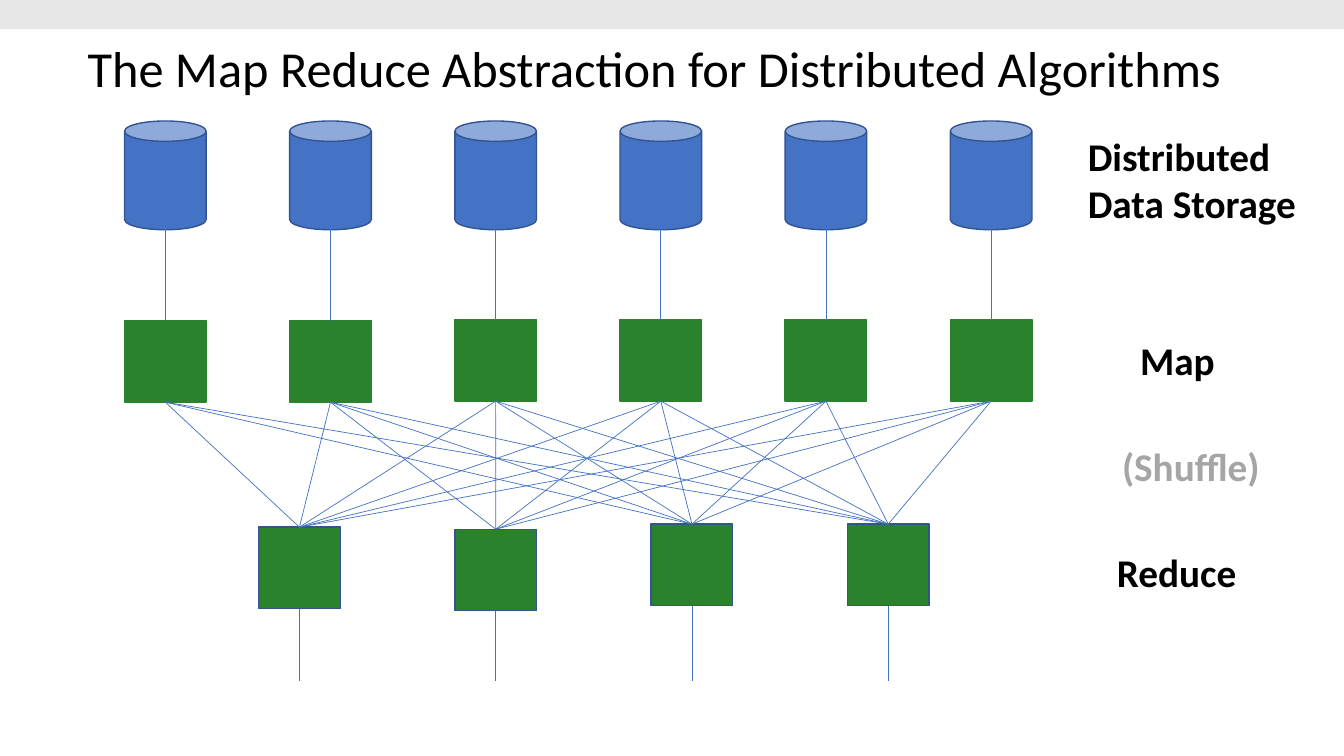
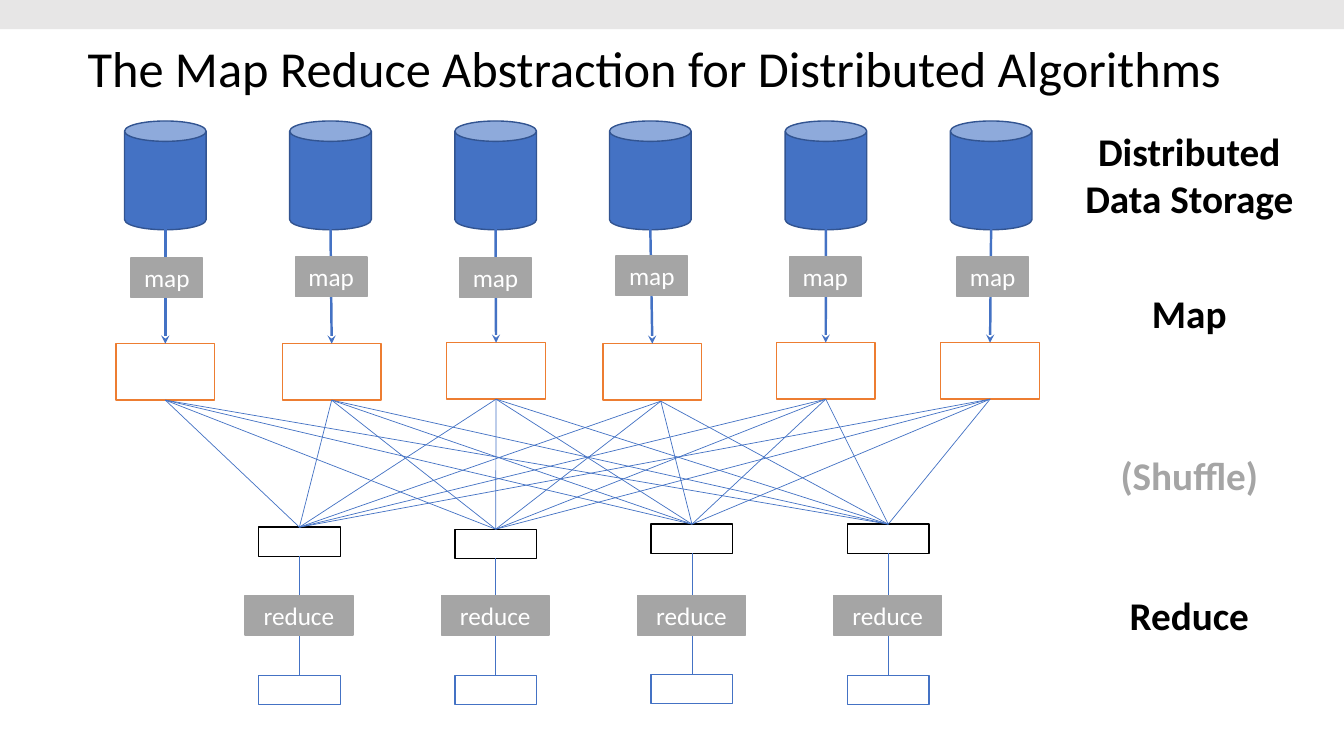
from lxml import etree
from pptx import Presentation
from pptx import util as u
from pptx.dml import color
from pptx.enum import shapes, text
from pptx.oxml import ns

FONT = "Calibri"
BLACK, WHITE, GREY, BAND = "000000", "FFFFFF", "A5A5A5", "E7E6E6"
BLUE, NAVY, GREEN, ORANGE = "4472C4", "325491", "2B822C", "ED7D31"
RECT, CAN = shapes.MSO_SHAPE.RECTANGLE, shapes.MSO_SHAPE.CAN
LEFT, CENTER = text.PP_ALIGN.LEFT, text.PP_ALIGN.CENTER
TITLE = "The Map Reduce Abstraction for Distributed Algorithms"


def box(s, kind, at, fill=None, line=None, label="", size=18, ink=WHITE,
        bold=False, align=CENTER):
    """Add a preset shape, or a text box when kind is None."""
    frame = [u.Inches(v) for v in at]
    if kind is None:
        sp = s.shapes.add_textbox(*frame)
    else:
        sp = s.shapes.add_shape(kind, *frame)
        sp.shadow.inherit = False
        sp.fill.solid()
        sp.fill.fore_color.rgb = color.RGBColor.from_string(fill)
        if line:
            sp.line.color.rgb = color.RGBColor.from_string(line)
            sp.line.width = u.Pt(1)
        else:
            sp.line.fill.background()
    if label:
        tf = sp.text_frame
        tf.word_wrap = True
        p = tf.paragraphs[0]
        p.alignment = align
        r = p.add_run()
        r.text = label
        r.font.name, r.font.size, r.font.bold = FONT, u.Pt(size), bold
        r.font.color.rgb = color.RGBColor.from_string(ink)
    return sp


def link(s, start, end, width=0.5, arrow=False):
    """Draw a line; each end is a point or a shape (bottom to top)."""
    a, b = [[u.Inches(v) for v in e] if isinstance(e, tuple) else (0, 0)
            for e in (start, end)]
    c = s.shapes.add_connector(shapes.MSO_CONNECTOR.STRAIGHT, *a, *b)
    if not isinstance(start, tuple):
        c.begin_connect(start, 2)
    if not isinstance(end, tuple):
        c.end_connect(end, 0)
    c.line.color.rgb = color.RGBColor.from_string(BLUE)
    c.line.width = u.Pt(width)
    if arrow:
        etree.SubElement(c.line._get_or_add_ln(), ns.qn("a:tailEnd"), type="stealth")
    etree.SubElement(c._element.spPr, ns.qn("a:effectLst"))


prs = Presentation()
prs.slide_width, prs.slide_height = u.Inches(13.33), u.Inches(7.5)

# Column centres and row tops
NODE = 0.81
map_x = [1.64 + (9.83 - 1.64) * i / 5 for i in range(6)]
reduce_x = [2.97 + (8.81 - 2.97) * j / 3 for j in range(4)]
reduce_y = [5.23, 5.25, 5.2, 5.2]
output_y = [6.7, 6.7, 6.69, 6.7]
map_y = [3.18, 3.18, 3.17, 3.17, 3.17, 3.17]

# Detailed slide: fourth can, map labels and map results
can_x = map_x[:3] + [6.45] + map_x[4:]
map_label_at = [(1.3, 2.56), (2.93, 2.55), (4.56, 2.56),
                (6.11, 2.54), (7.83, 2.55), (9.49, 2.55)]
result_at = [(1.15, 3.41), (2.8, 3.41), (4.43, 3.4),
             (5.98, 3.41), (7.7, 3.4), (9.33, 3.4)]

# Row names: text, colour, then place on the simple and the detailed slide
rows = [
    ("Distributed Data Storage", BLACK, (10.69, 1.26), (10.62, 1.21)),
    ("Map", BLACK, (11.21, 3.29), (10.62, 2.82)),
    ("(Shuffle)", GREY, (11.03, 4.34), (10.62, 4.43)),
    ("Reduce", BLACK, (10.98, 5.39), (10.62, 5.82)),
]

for detailed in (False, True):
    s = prs.slides.add_slide(prs.slide_layouts[6])

    # Title and band
    sp = box(s, None, (0.77, -0.02, 11.5, 1.45), label=TITLE, size=36,
             ink=BLACK, align=LEFT)
    sp.text_frame.vertical_anchor = text.MSO_ANCHOR.MIDDLE
    sp.text_frame.paragraphs[0].line_spacing = 0.9
    box(s, RECT, (0, 0, 13.33, 0.29), BAND)

    # Row names
    for name, ink, simple_at, detailed_at in rows:
        at = detailed_at if detailed else simple_at
        box(s, None, (*at, 2.35, 0.57), label=name, size=28, ink=ink,
            bold=True, align=CENTER if detailed else LEFT)

    # Storage, map step and the lines between them
    maps = []
    for i, x in enumerate(can_x if detailed else map_x):
        box(s, CAN, (x - NODE / 2, 1.2, NODE, 1.08), BLUE, NAVY)
        if detailed:
            sp = box(s, RECT, (*result_at[i], 0.98, 0.56), WHITE, ORANGE)
        else:
            sp = box(s, RECT, (x - NODE / 2, map_y[i], NODE, NODE), GREEN, GREEN)
        link(s, (x, 2.27), sp, 1.75 if detailed else 0.5, arrow=detailed)
        if detailed:
            box(s, RECT, (*map_label_at[i], 0.71, 0.39), GREY, GREY, "map")
        maps.append(sp)

    # Reduce step and its output
    reducers = []
    for x, y, out_y in zip(reduce_x, reduce_y, output_y):
        left = x - NODE / 2
        if detailed:
            sp = box(s, RECT, (left, y, NODE, 0.29), WHITE, BLACK)
            end = box(s, RECT, (left, out_y, NODE, 0.29), WHITE, BLUE)
        else:
            sp = box(s, RECT, (left, y, NODE, NODE), GREEN, NAVY)
            end = (x, 6.76)
        link(s, sp, end)
        if detailed:
            box(s, RECT, (x - 0.54, 5.91, 1.07, 0.39), GREY, GREY, "reduce")
        reducers.append(sp)

    # Shuffle: every map feeds every reducer, bar one pair on the simple slide
    for i, start in enumerate(maps):
        if detailed and i == 3:
            start = (map_x[i], 3.98)
        for j, end in enumerate(reducers):
            if detailed or (i, j) != (0, 1):
                link(s, start, end)

prs.save("out.pptx")
